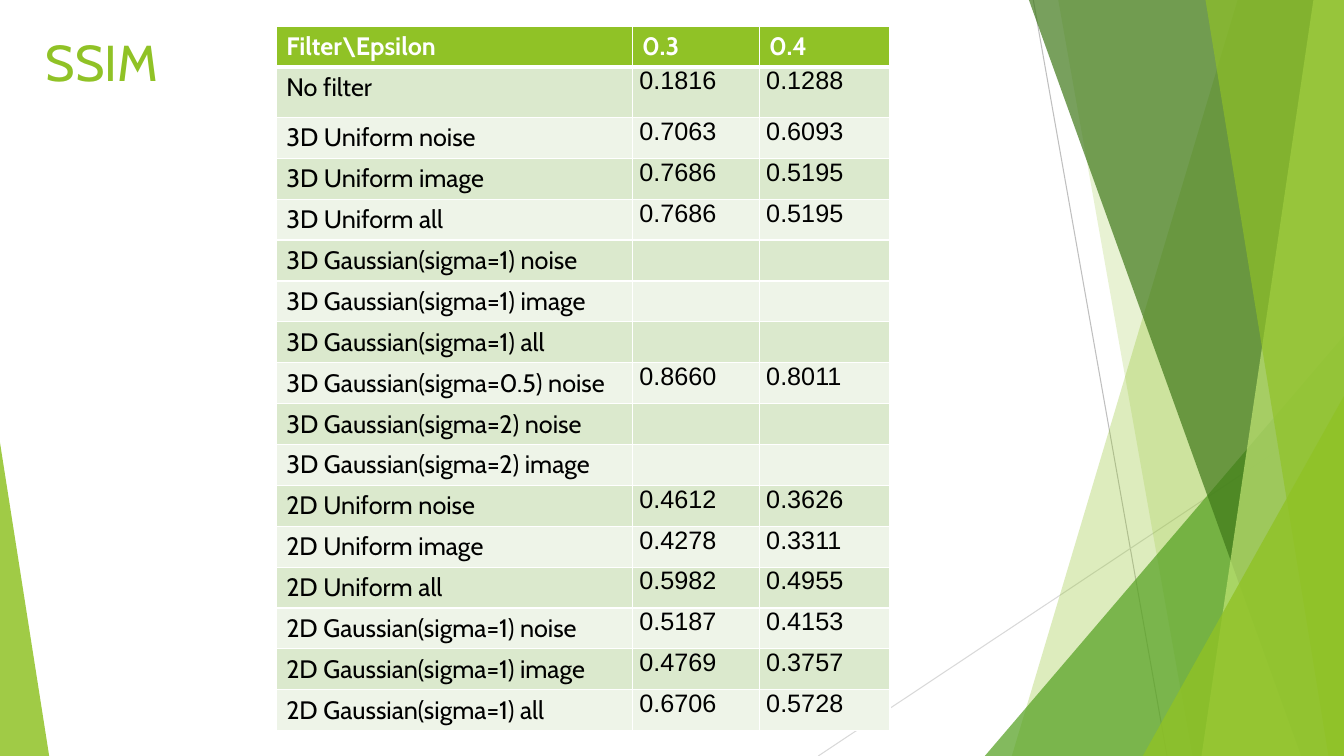
"""Build the SSIM filter comparison slide with its faceted green decoration."""
from lxml.etree import SubElement
from pptx import Presentation
from pptx.dml.color import RGBColor
from pptx.enum.shapes import MSO_CONNECTOR, MSO_SHAPE
from pptx.oxml.ns import qn
from pptx.util import Cm, Pt

COLORS = {
    "green": "90C226", "leaf": "54A021", "forest": "3F7819", "lime": "C0E474",
    "white": "FFFFFF", "black": "000000", "band_dark": "DBE9CD",
    "band_light": "EEF4E8", "line_dark": "BFBFBF", "line_light": "D9D9D9",
}
WIDTH, HEIGHT = 33.87, 19.05
HEADER = ("Filter\\Epsilon", "0.3", "0.4")
SSIM_ROWS = (
    ("No filter", "0.1816", "0.1288"),
    ("3D Uniform noise", "0.7063", "0.6093"),
    ("3D Uniform image", "0.7686", "0.5195"),
    ("3D Uniform all", "0.7686", "0.5195"),
    ("3D Gaussian(sigma=1) noise", "", ""),
    ("3D Gaussian(sigma=1) image", "", ""),
    ("3D Gaussian(sigma=1) all", "", ""),
    ("3D Gaussian(sigma=0.5) noise", "0.8660", "0.8011"),
    ("3D Gaussian(sigma=2) noise", "", ""),
    ("3D Gaussian(sigma=2) image", "", ""),
    ("2D Uniform noise", "0.4612", "0.3626"),
    ("2D Uniform image", "0.4278", "0.3311"),
    ("2D Uniform all", "0.5982", "0.4955"),
    ("2D Gaussian(sigma=1) noise", "0.5187", "0.4153"),
    ("2D Gaussian(sigma=1) image", "0.4769", "0.3757"),
    ("2D Gaussian(sigma=1) all", "0.6706", "0.5728"),
)


def rgb(name):
    """Return the named palette colour."""
    return RGBColor.from_string(COLORS[name])


def paint(shape, color, opacity):
    """Give a shape a translucent fill without line or shadow."""
    shape.shadow.inherit = False
    shape.fill.solid()
    shape.fill.fore_color.rgb = rgb(color)
    shape.line.fill.background()
    fill = shape.fill._xPr.find(qn("a:solidFill"))
    SubElement(fill[0], qn("a:alpha"), val=str(opacity * 1000))


def add_line(page, start, end, color):
    """Draw a thin straight line."""
    points = [Cm(value) for value in (*start, *end)]
    line = page.shapes.add_connector(MSO_CONNECTOR.STRAIGHT, *points)
    line.line.color.rgb = rgb(color)
    line.line.width = Pt(0.75)
    SubElement(line._element.spPr, qn("a:effectLst"))


def add_facet(page, top_left, bottom_left, color, opacity):
    """Draw a full-height facet that ends at the right slide edge."""
    builder = page.shapes.build_freeform(Cm(top_left), 0)
    corners = ((WIDTH, 0), (WIDTH, HEIGHT), (bottom_left, HEIGHT))
    builder.add_line_segments([(Cm(x), Cm(y)) for x, y in corners])
    paint(builder.convert_to_shape(), color, opacity)


def add_triangle(page, left, top, width, apex, color, opacity):
    """Draw a right triangle standing on the bottom slide edge."""
    triangle = page.shapes.add_shape(
        MSO_SHAPE.ISOSCELES_TRIANGLE, Cm(left), Cm(top), Cm(width), Cm(HEIGHT - top))
    triangle.adjustments[0] = apex
    paint(triangle, color, opacity)


def format_text(frame, size, font, color, bold=False):
    """Style every run of a text frame."""
    for para in frame.paragraphs:
        for span in para.runs:
            span.font.size = Pt(size)
            span.font.name = font
            span.font.bold = bold
            span.font.color.rgb = rgb(color)


def add_title(page, text):
    """Add the slide title."""
    box = page.shapes.add_textbox(Cm(0.91), Cm(0.66), Cm(5.8), Cm(3.66))
    box.text_frame.word_wrap = True
    box.text_frame.text = text
    format_text(box.text_frame, 36, "Cabin", "green")


def add_borders(cell, bottom):
    """Draw white borders around a table cell."""
    properties = cell._tc.get_or_add_tcPr()
    for side, width in (("L", 1), ("R", 1), ("T", 1), ("B", bottom)):
        border = SubElement(properties, qn(f"a:ln{side}"), w=str(Pt(width)))
        fill = SubElement(border, qn("a:solidFill"))
        SubElement(fill, qn("a:srgbClr"), val=COLORS["white"])


def fill_cell(cell, text, row, column):
    """Write and style one table cell."""
    header = row == 0
    cell.text = text
    add_borders(cell, 3 if header else 1)
    cell.fill.solid()
    band = "band_dark" if row % 2 else "band_light"
    cell.fill.fore_color.rgb = rgb("green" if header else band)
    numeric = column > 0 and not header
    if numeric and text:
        cell.margin_left = cell.margin_right = Cm(0.18)
        cell.margin_top = cell.margin_bottom = 0
    format_text(cell.text_frame, 18, "Arial" if numeric else "Cabin",
                "white" if header else "black", header)


def add_ssim_table(page):
    """Add the table of SSIM values per filter and epsilon."""
    rows = (HEADER, *SSIM_ROWS)
    table = page.shapes.add_table(
        len(rows), len(HEADER), Cm(6.96), Cm(0.66), Cm(15.47), Cm(17.75)).table
    for column, width in zip(table.columns, (8.97, 3.2, 3.3)):
        column.width = Cm(width)
    for row, texts in enumerate(rows):
        table.rows[row].height = Cm(1.27 if row == 1 else 1.03)
        for column, text in enumerate(texts):
            fill_cell(table.cell(row, column), text, row, column)


def add_decoration(page):
    """Add the lines and facets behind the content."""
    add_line(page, (26.04, 0), (29.41, HEIGHT), "line_dark")
    add_line(page, (WIDTH, 10.24), (20.62, HEIGHT), "line_light")
    add_facet(page, 31.19, 25.5, "green", 30)
    add_facet(page, 26.67, 30.05, "green", 20)
    add_triangle(page, 24.82, 8.46, 9.05, 1, "leaf", 72)
    add_facet(page, 25.93, 32.79, "forest", 70)
    add_facet(page, 33.1, 30.28, "lime", 70)
    add_facet(page, 30.38, 33.48, "green", 65)
    add_triangle(page, 28.8, 9.98, 5.07, 1, "green", 80)
    add_triangle(page, 0, 11.15, 1.24, 0, "green", 85)


def main():
    """Create and save the deck."""
    deck = Presentation()
    deck.slide_width, deck.slide_height = Cm(WIDTH), Cm(HEIGHT)
    page = deck.slides.add_slide(deck.slide_layouts[6])
    add_decoration(page)
    add_title(page, "SSIM")
    add_ssim_table(page)
    deck.save("out.pptx")


if __name__ == "__main__":
    main()
